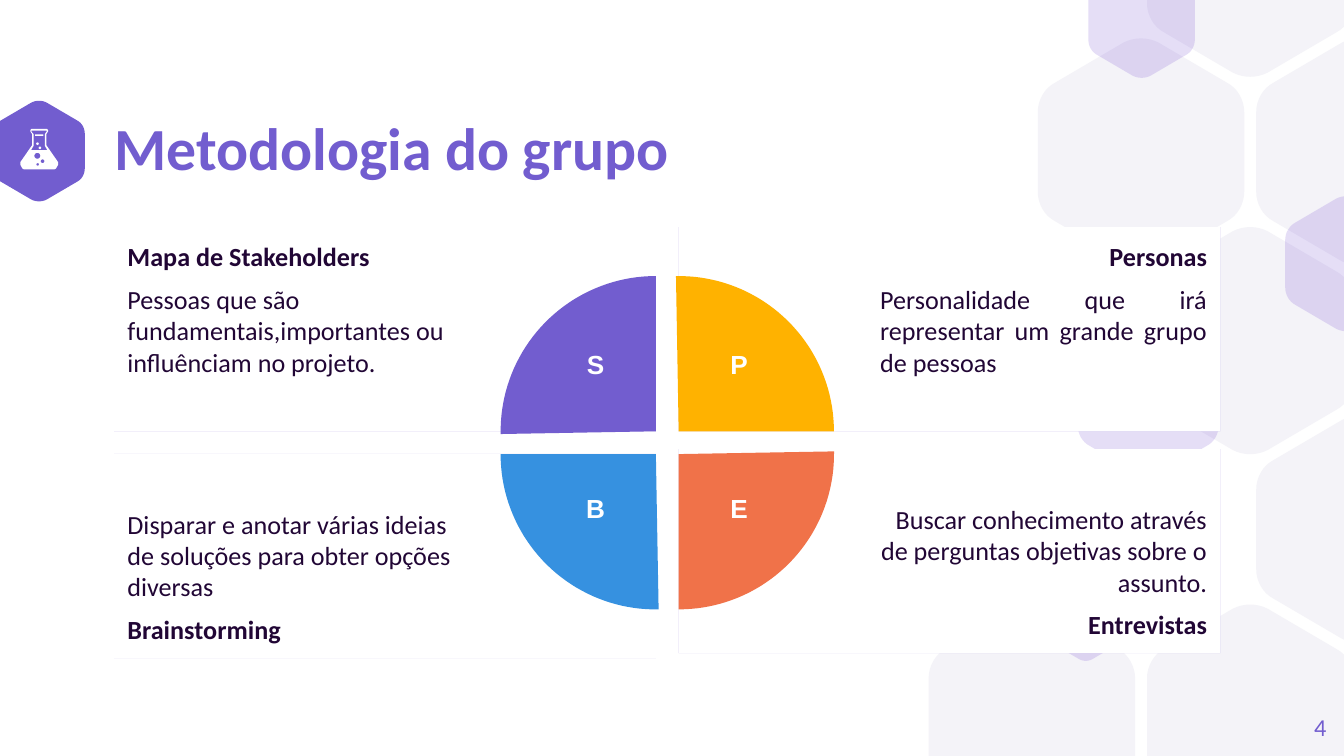
from math import cos, radians, sin

from lxml import etree
from pptx import Presentation
from pptx.dml.color import RGBColor
from pptx.enum import shapes, text
from pptx.oxml import ns
from pptx.util import Pt

PURPLE = RGBColor(0x72, 0x5D, 0xCF)
VIOLET = RGBColor(0x53, 0x22, 0xC9)
MIST = RGBColor(0xF4, 0xF3, 0xF8)
INK = RGBColor(0x21, 0x06, 0x35)
WHITE = RGBColor(0xFF, 0xFF, 0xFF)
YELLOW = RGBColor(0xFF, 0xB2, 0x00)
ORANGE = RGBColor(0xF0, 0x72, 0x49)
BLUE = RGBColor(0x36, 0x91, 0xE0)

LEFT, RIGHT = text.PP_ALIGN.LEFT, text.PP_ALIGN.RIGHT
CENTER, JUSTIFY = text.PP_ALIGN.CENTER, text.PP_ALIGN.JUSTIFY
TOP, MIDDLE, BOTTOM = (text.MSO_ANCHOR.TOP, text.MSO_ANCHOR.MIDDLE,
                       text.MSO_ANCHOR.BOTTOM)
WIDTH, HEIGHT = 720, 405


def apply(target, **values):
    for key, value in values.items():
        setattr(target, key, value)


def sub(parent, tag, **attributes):
    return etree.SubElement(parent, ns.qn(tag), attributes)


def paint(shape, color, alpha=None):
    """Flat fill without line or shadow; alpha is a percentage."""
    shape.shadow.inherit = False
    shape.fill.solid()
    shape.fill.fore_color.rgb = color
    shape.line.fill.background()
    if alpha:
        fill = shape._element.spPr.find(ns.qn("a:solidFill"))
        sub(fill[0], "a:alpha", val=str(alpha * 1000))


def outline(slide, contours, color, alpha=None):
    """Freeform made of closed contours, each a list of points."""
    scaled = [[(Pt(x), Pt(y)) for x, y in contour] for contour in contours]
    builder = slide.shapes.build_freeform(*scaled[0][0], scale=1.0)
    for i, contour in enumerate(scaled):
        if i:
            builder.move_to(*contour[0])
        builder.add_line_segments(contour[1:], close=True)
    paint(builder.convert_to_shape(), color, alpha)


def arc(cx, cy, radius, start, sweep, steps):
    angles = [radians(start + sweep * i / steps) for i in range(steps + 1)]
    return [(cx + radius * cos(a), cy + radius * sin(a)) for a in angles]


def bezier(a, b, c, d, steps=8):
    curve = []
    for i in range(steps + 1):
        t = i / steps
        weights = ((1 - t) ** 3, 3 * t * (1 - t) ** 2, 3 * t * t * (1 - t), t ** 3)
        curve.append(tuple(sum(w * p[k] for w, p in zip(weights, (a, b, c, d)))
                           for k in (0, 1)))
    return curve


def hexagon(slide, left, top, width, color, alpha=None):
    """Rounded hexagon, cut off at the slide's top and bottom edges."""
    shoulder = bezier((0, .325), (0, .272), (.032, .219), (.084, .195))
    peak = bezier((.416, .018), (.468, -.006), (.532, -.006), (.584, .018))
    upper = shoulder + peak + [(1 - x, y) for x, y in reversed(shoulder)]
    unit = upper + [(x, 1 - y) for x, y in reversed(upper)]
    points = [(left + x * width, min(max(top + y * width * 1.1, 0), HEIGHT))
              for x, y in unit]
    outline(slide, [points], color, alpha)


def honeycomb(slide, left, top):
    step_x, step_y = 58.5, 101.1
    for col, row in ((0, 4), (2, 4), (3, 1), (2, 0), (2, 2), (1, 1), (3, 3)):
        hexagon(slide, left + col * step_x, top + row * step_y, 110.6, MIST)
    for x, y, width in ((191, 185.6, 65.8), (64.3, 390.8, 39.8),
                        (85.6, 59.5, 57), (79.9, 252.5, 75.5)):
        hexagon(slide, left + x, top + y, width, VIOLET, 15)


def flask_badge(slide, left, top):
    hexagon(slide, left, top, 49, PURPLE)
    x, y = left + 14.4, top + 15.1  # corner of the flask
    glass = [(6, 0), (14.4, 0), (15, .7), (15, 1.3), (14, 2.8), (14, 8.7),
             (20.3, 17.8), (20.3, 19.2), (19.2, 21.2), (18.5, 21.6),
             (1.9, 21.6), (1.2, 21.2), (.1, 19.2), (.1, 17.8), (6.4, 8.7),
             (6.4, 2.8), (5.4, 1.3), (5.4, .7)]
    inside = [(6, .9), (14.2, .9), (14.2, 1.4), (13.2, 2.8), (13.2, 9),
              (14.6, 11.4), (5.8, 11.4), (7.2, 9), (7.2, 2.8), (6, 1.4)]
    bubbles = [arc(cx, cy, r, 0, 345, 23) for cx, cy, r in
               ((9.2, 14.4, 1.6), (12, 17.3, 1), (9.4, 19, .7))]
    outline(slide, [[(x + px, y + py) for px, py in contour]
                    for contour in (glass, inside, *bubbles)], WHITE)
    kinds = shapes.MSO_SHAPE
    for kind, px, py, width, height in ((kinds.OVAL, 9.9, 9.4, 1.4, 1.4),
                                        (kinds.OVAL, 8.6, 7.2, 1.4, 1.4),
                                        (kinds.ROUNDED_RECTANGLE, 8, 2.9, 4.4, .8)):
        paint(slide.shapes.add_shape(kind, Pt(x + px), Pt(y + py), Pt(width),
                                     Pt(height)), WHITE)


def heading(slide, left, top, width, height):
    title = slide.shapes.title
    apply(title, left=Pt(left), top=Pt(top), width=Pt(width), height=Pt(height))
    frame = title.text_frame
    apply(frame, text="Metodologia do grupo", vertical_anchor=MIDDLE, word_wrap=True,
          margin_left=0, margin_right=0, margin_top=0, margin_bottom=0)
    apply(frame.paragraphs[0], alignment=LEFT, line_spacing=.9)
    apply(frame.paragraphs[0].font, name="Calibri", size=Pt(32), bold=True)
    frame.paragraphs[0].font.color.rgb = PURPLE


def label(slide, box, words, color, margin, align, **font):
    frame = slide.shapes.add_textbox(*map(Pt, box)).text_frame
    apply(frame, text=words, word_wrap=True, margin_left=Pt(margin),
          margin_right=Pt(margin), margin_top=Pt(margin / 2),
          margin_bottom=Pt(margin / 2),
          vertical_anchor=TOP if margin else MIDDLE)
    frame.paragraphs[0].alignment = align
    apply(frame.paragraphs[0].font, **font)
    frame.paragraphs[0].font.color.rgb = color


def card(slide, left, top, lines, on_right, anchor):
    """White panel; lines holds (words, bold, alignment)."""
    panel = slide.shapes.add_shape(shapes.MSO_SHAPE.RECTANGLE, Pt(left), Pt(top),
                                   Pt(290.2), Pt(109.4))
    paint(panel, WHITE)
    effects = panel._element.spPr.find(ns.qn("a:effectLst"))
    glow = sub(effects, "a:outerShdw", blurRad="0", dist="0", algn="bl",
               rotWithShape="0")
    sub(sub(glow, "a:srgbClr", val=str(PURPLE)), "a:alpha", val="40000")
    frame = panel.text_frame
    apply(frame, word_wrap=True, vertical_anchor=anchor, margin_top=Pt(7.2),
          margin_bottom=Pt(7.2), margin_left=Pt(108 if on_right else 7.2),
          margin_right=Pt(7.2 if on_right else 108))
    for i, (words, bold, align) in enumerate(lines):
        line = frame.add_paragraph() if i else frame.paragraphs[0]
        apply(line, text=words, alignment=align)
        if i:
            apply(line, space_before=Pt(6), space_after=Pt(6))
        apply(line.font, name="Calibri", size=Pt(14), bold=bold)
        line.font.color.rgb = INK


def wheel(slide, left, top, gap):
    """Four quarters, clockwise from the upper left, each with its letter."""
    quarters = (("S", PURPLE, 0, 0), ("P", YELLOW, 1, 0),
                ("E", ORANGE, 1, 1), ("B", BLUE, 0, 1))
    radius, offset, width, height = 83.2, 32.3, 40, 31
    for turn, (letter, color, col, row) in enumerate(quarters):
        cx, cy = left + radius + col * gap, top + radius + row * gap
        rim = arc(cx, cy, radius, 179 + 90 * turn, 91, 40)
        outline(slide, [[(cx, cy)] + rim], color)
        x, y = cx + offset * (2 * col - 1), cy + offset * (2 * row - 1)
        label(slide, (x - width / 2, y - height / 2, width, height), letter, WHITE,
              7.2, CENTER, name="Arial", size=Pt(14), bold=True)


def main():
    deck = Presentation()
    apply(deck, slide_width=Pt(WIDTH), slide_height=Pt(HEIGHT))
    slide = deck.slides.add_slide(deck.slide_layouts[5])
    honeycomb(slide, 497.5, -80.5)
    flask_badge(slide, -3.6, 54)
    heading(slide, 61.2, 65.5, 473, 31)
    label(slide, (667.4, 373.7, 43.2, 31), "4", PURPLE, 0, RIGHT,
          name="Calibri", size=Pt(13))

    left, right, top = 61.2, 363.6, 121.7
    card(slide, left, top, [
        ("Mapa de Stakeholders", True, LEFT),
        ("Pessoas que são fundamentais,importantes ou influênciam no projeto.",
         False, LEFT)], False, TOP)
    card(slide, right, top, [
        ("Personas", True, RIGHT),
        ("Personalidade que irá representar um grande grupo de pessoas",
         False, JUSTIFY)], True, TOP)
    card(slide, left, 243.2, [
        ("Disparar e anotar várias ideias de soluções para obter opções diversas",
         False, LEFT),
        ("Brainstorming", True, LEFT)], False, BOTTOM)
    card(slide, right, 240.6, [
        ("Buscar conhecimento através de perguntas objetivas sobre o assunto.",
         False, RIGHT),
        ("Entrevistas", True, RIGHT)], True, BOTTOM)
    wheel(slide, 268.2, 147.9, 12.2)
    deck.save("out.pptx")


if __name__ == "__main__":
    main()
